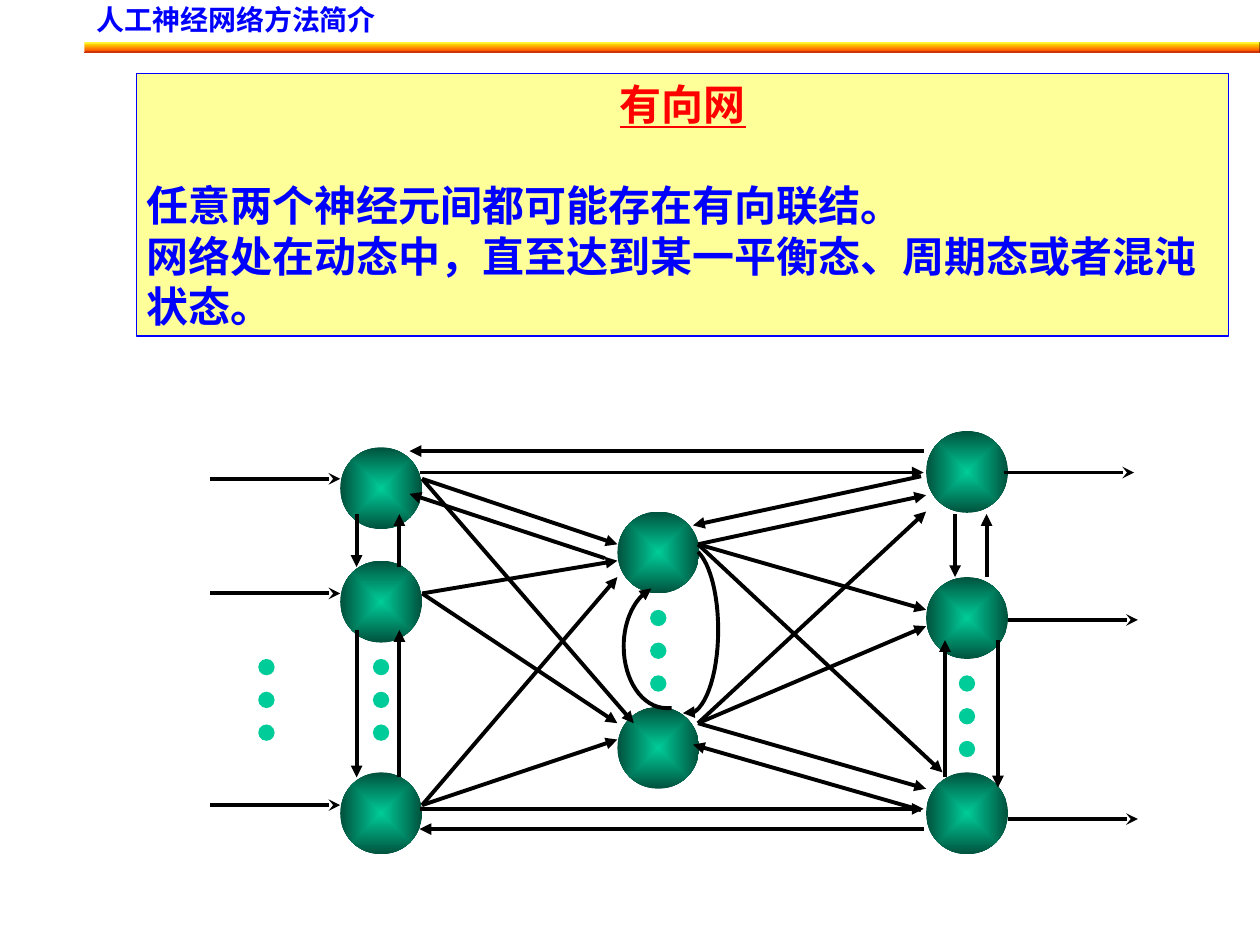
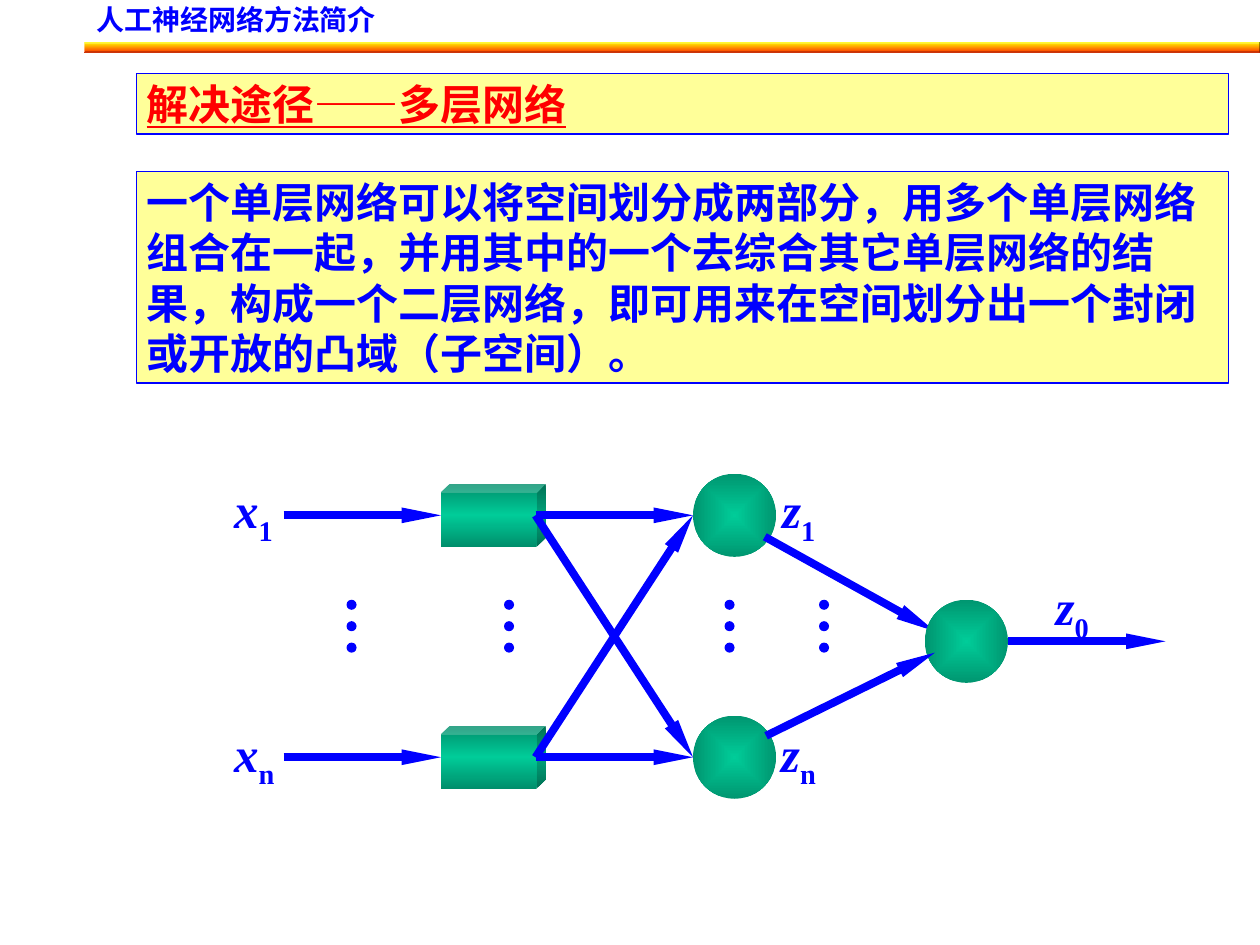
from lxml import etree
from pptx import Presentation
from pptx.dml.color import RGBColor
from pptx.enum.shapes import MSO_CONNECTOR, MSO_SHAPE
from pptx.enum.text import MSO_ANCHOR, MSO_AUTO_SIZE, PP_ALIGN
from pptx.oxml import parse_xml
from pptx.oxml.ns import nsdecls, qn
from pptx.util import Inches, Pt

STRAIGHT = MSO_CONNECTOR.STRAIGHT
RECT, OVAL, BEVEL = MSO_SHAPE.RECTANGLE, MSO_SHAPE.OVAL, MSO_SHAPE.BEVEL
CUBE, DOT = MSO_SHAPE.CUBE, MSO_SHAPE.FLOWCHART_CONNECTOR
TOP, GROW = MSO_ANCHOR.TOP, MSO_AUTO_SIZE.SHAPE_TO_FIT_TEXT
LEFT, CENTER = PP_ALIGN.LEFT, PP_ALIGN.CENTER

FONT = "Times New Roman"
UNIT = 1 / 12
C = {
    "blue": "0000FF", "red": "FF0000", "black": "000000", "panel": "FFFF99",
    "yellow": "FFFF00", "orange": "FF3300", "green": "00CC99",
    "dark": "00523D", "rim": "009670", "edge": "008E6B",
}
VERTICAL = '<a:lin ang="5400000" scaled="1"/>'
CENTRED = ('<a:path path="rect"><a:fillToRect l="50000" t="50000" '
           'r="50000" b="50000"/></a:path>')


def rgb(name):
    return RGBColor.from_string(C[name])


def gradient(sp, names, direction):
    last = len(names) - 1
    stops = "".join(
        f'<a:gs pos="{i * 100000 // last}"><a:srgbClr val="{C[n]}"/></a:gs>'
        for i, n in enumerate(names))
    sp.fill.background()
    props = sp._element.spPr
    props.replace(props.find(qn("a:noFill")), parse_xml(
        f'<a:gradFill {nsdecls("a")} rotWithShape="1"><a:gsLst>{stops}'
        f'</a:gsLst>{direction}</a:gradFill>'))


def add_shape(s, kind, x, y, w, h):
    sp = s.shapes.add_shape(kind, Inches(x), Inches(y), Inches(w), Inches(h))
    sp.shadow.inherit = False
    sp.line.fill.background()
    return sp


def add_run(p, text, size, color, underline=False, italic=False, base=None):
    r = p.add_run()
    r.text = text
    f = r.font
    f.name, f.size, f.bold, f.italic = FONT, Pt(size), True, italic
    f.underline = underline
    f.color.rgb = rgb(color)
    if base:
        r._r.get_or_add_rPr().set("baseline", str(base))


def set_frame(tf, margins, wrap=True):
    tf.margin_left, tf.margin_top, tf.margin_right, tf.margin_bottom = (
        Inches(m) for m in margins)
    tf.word_wrap = wrap
    tf.vertical_anchor = TOP
    tf.auto_size = GROW


def add_header(s):
    band = add_shape(s, BEVEL, 8 * UNIT, 4 * UNIT, 112 * UNIT, UNIT)
    band.adjustments[0] = 0.125
    gradient(band, ["yellow", "orange"], VERTICAL)
    tb = s.shapes.add_textbox(Inches(0.67), 0, Inches(6.58), Inches(0.58))
    set_frame(tb.text_frame, (0.1, 0.05, 0.1, 0.05))
    p = tb.text_frame.paragraphs[0]
    p.line_spacing = 0.9
    add_run(p, "人工神经网络方法简介", 16, "blue")


def add_panel(s, y, h, lines, right=0.04):
    sp = add_shape(s, RECT, 13 * UNIT, y, 104 * UNIT, h)
    sp.fill.solid()
    sp.fill.fore_color.rgb = rgb("panel")
    sp.line.color.rgb = rgb("blue")
    sp.line.width = Pt(0.74)
    tf = sp.text_frame
    set_frame(tf, (0.08, 0.04, right, 0.04))
    for i, (text, color, align, before) in enumerate(lines):
        p = tf.add_paragraph() if i else tf.paragraphs[0]
        p.alignment = align
        p.space_before = Pt(before)
        p._p.get_or_add_pPr().set("hangingPunct", "0")
        add_run(p, text, 24, color, underline=color == "red")


def add_neuron(s, x, y, size, rim):
    gradient(add_shape(s, OVAL, x, y, size, size), ["green", rim], CENTRED)


def add_dots(s, x, y, size, step, color):
    for i in range(3):
        sp = add_shape(s, DOT, x, y + i * step, size, size)
        sp.fill.solid()
        sp.fill.fore_color.rgb = rgb(color)


def style_arrow(shape, color, width, head="triangle", w="med", length="med"):
    shape.line.color.rgb = rgb(color)
    shape.line.width = Pt(width)
    etree.SubElement(shape.line._get_or_add_ln(), qn("a:tailEnd"),
                     type=head, w=w, len=length)


def add_arrow(s, start, end, *style):
    cx = s.shapes.add_connector(STRAIGHT, *(Inches(v) for v in start + end))
    etree.SubElement(cx._element.spPr, qn("a:effectLst"))
    style_arrow(cx, *style)


def bezier(a, b, c, d, steps=16):
    for i in range(1, steps + 1):
        t = i / steps
        u = 1 - t
        yield tuple(Inches(u**3 * a[k] + 3 * u * u * t * b[k]
                           + 3 * u * t * t * c[k] + t**3 * d[k])
                    for k in (0, 1))


def add_curve(s, points):
    fb = s.shapes.build_freeform(*(Inches(v) for v in points[0]))
    for i in range(0, len(points) - 1, 3):
        fb.add_line_segments(list(bezier(*points[i:i + 4])), close=False)
    sp = fb.convert_to_shape()
    sp.shadow.inherit = False
    sp.fill.background()
    style_arrow(sp, "black", 2.24)


def add_label(s, x, y, w, letter, index):
    tb = s.shapes.add_textbox(Inches(x), Inches(y), Inches(w), Inches(0.63))
    set_frame(tb.text_frame, (0.1, 0.05, 0, 0.05), wrap=False)
    p = tb.text_frame.paragraphs[0]
    p.alignment = LEFT
    add_run(p, letter, 28, "blue", italic=True)
    add_run(p, index, 28, "blue", base=-25000)


def directed_network(s):
    add_panel(s, 7 * UNIT, 25 * UNIT, [
        ("有向网", "red", CENTER, 0),
        ("任意两个神经元间都可能存在有向联结。", "blue", LEFT, 29),
        ("网络处在动态中，直至达到某一平衡态、周期态或者混沌状态。",
         "blue", LEFT, 0)], right=0.08)

    layers = {2.7: (3.55, 4.45, 6.13), 4.9: (4.06, 5.61),
              7.35: (3.42, 4.58, 6.13)}
    for x, tops in layers.items():
        for y in tops:
            add_neuron(s, x, y, 0.65, "dark")

    for y in (3.8, 4.71, 6.39):
        add_arrow(s, (1.67, y), (2.7, y), "black", 2.24, "stealth")
    for x, y in ((7.97, 3.75), (8, 4.92), (8, 6.5)):
        add_arrow(s, (x, y), (x + 1.03, y), "black", 2.24, "stealth")

    fans = {
        (3.35, 3.8): [(4.9, 4.32), (5.03, 5.74)],
        (3.35, 4.71): [(4.9, 4.45), (4.9, 5.74)],
        (3.35, 6.39): [(4.9, 4.58), (4.9, 5.87)],
        (5.54, 4.32): [(7.35, 3.93), (7.35, 4.84), (7.48, 6.13)],
        (5.54, 5.74): [(7.35, 4.06), (7.35, 4.97), (7.35, 6.26)],
    }
    feedback = {
        (4.8, 4.43): [(3.25, 3.92)],
        (7.31, 6.43): [(5.5, 5.91)],
        (7.31, 3.78): [(5.5, 4.17)],
    }
    outer = {
        (3.33, 3.75): [(7.33, 3.75)], (3.33, 6.42): [(7.33, 6.42)],
        (7.33, 3.58): [(3.25, 3.58)], (7.33, 6.58): [(3.33, 6.58)],
    }
    within = {
        (2.83, 4.08): [(2.83, 4.5)], (3.17, 4.5): [(3.17, 4.08)],
        (2.83, 5): [(2.83, 6.17)], (3.17, 6.17): [(3.17, 5)],
        (7.92, 5.08): [(7.92, 6.25)], (7.5, 6.17): [(7.5, 5.08)],
        (7.58, 4.08): [(7.58, 4.58)], (7.83, 4.58): [(7.83, 4.08)],
    }
    for group in (fans, outer, within, feedback):
        for start, ends in group.items():
            for end in ends:
                add_arrow(s, start, end, "black", 2.24)

    for x, y in ((2.05, 5.23), (2.96, 5.23), (5.16, 4.84), (7.61, 5.36)):
        add_dots(s, x, y, 0.13, 0.26, "green")

    add_curve(s, [(5.54, 4.38), (5.64, 4.48), (5.7, 4.73), (5.7, 5),
                  (5.7, 5.37), (5.59, 5.67), (5.45, 5.67),
                  (5.44, 5.67), (5.43, 5.67), (5.42, 5.66)])
    add_curve(s, [(5.33, 5.62), (5.32, 5.62), (5.3, 5.62), (5.29, 5.62),
                  (5.1, 5.62), (4.95, 5.4), (4.95, 5.13),
                  (4.95, 4.92), (5.04, 4.74), (5.17, 4.67)])


def multilayer_network(s):
    add_panel(s, 7 * UNIT, 0.48, [("解决途径——多层网络", "red", LEFT, 0)])
    add_panel(s, 1.36, 1.68, [(
        "一个单层网络可以将空间划分成两部分，用多个单层网络组合在一起，"
        "并用其中的一个去综合其它单层网络的结果，构成一个二层网络，"
        "即可用来在空间划分出一个封闭或开放的凸域（子空间）。",
        "blue", LEFT, 0)])

    style = ("blue", 4.51, "triangle", "sm", "lg")
    rows = (4.09, 6.01)
    for y in rows:
        cube = add_shape(s, CUBE, 3.5, y - 0.25, 0.83, 0.5)
        cube.adjustments[0] = 0.142
        gradient(cube, ["edge", "green", "edge"], VERTICAL)
        add_neuron(s, 5.5, y - 0.33, 0.66, "rim")

    add_arrow(s, (6.07, 4.26), (7.42, 5.01), *style)
    add_arrow(s, (8, 5.09), (9.25, 5.09), *style)
    add_neuron(s, 7.34, 4.76, 0.66, "rim")
    add_arrow(s, (6.08, 5.84), (7.42, 5.18), *style)

    for y in rows:
        add_arrow(s, (2.25, y), (3.5, y), *style)
        for target in rows:
            add_arrow(s, (4.25, y), (5.5, target), *style)

    for x in (2.75, 4, 5.75, 6.5):
        add_dots(s, x, 4.76, 0.08, 0.17, "blue")

    for x, y, w, letter, index in (
            (1.76, 3.76, 0.5, "x", "1"), (1.76, 5.69, 0.52, "x", "n"),
            (6.11, 3.76, 0.46, "z", "1"), (6.1, 5.69, 0.47, "z", "n"),
            (8.28, 4.53, 0.46, "z", "0")):
        add_label(s, x, y, w, letter, index)


def main():
    prs = Presentation()
    prs.slide_width, prs.slide_height = Inches(10), Inches(7.5)
    for build in (directed_network, multilayer_network):
        s = prs.slides.add_slide(prs.slide_layouts[6])
        add_header(s)
        build(s)
    prs.save("out.pptx")


main()
